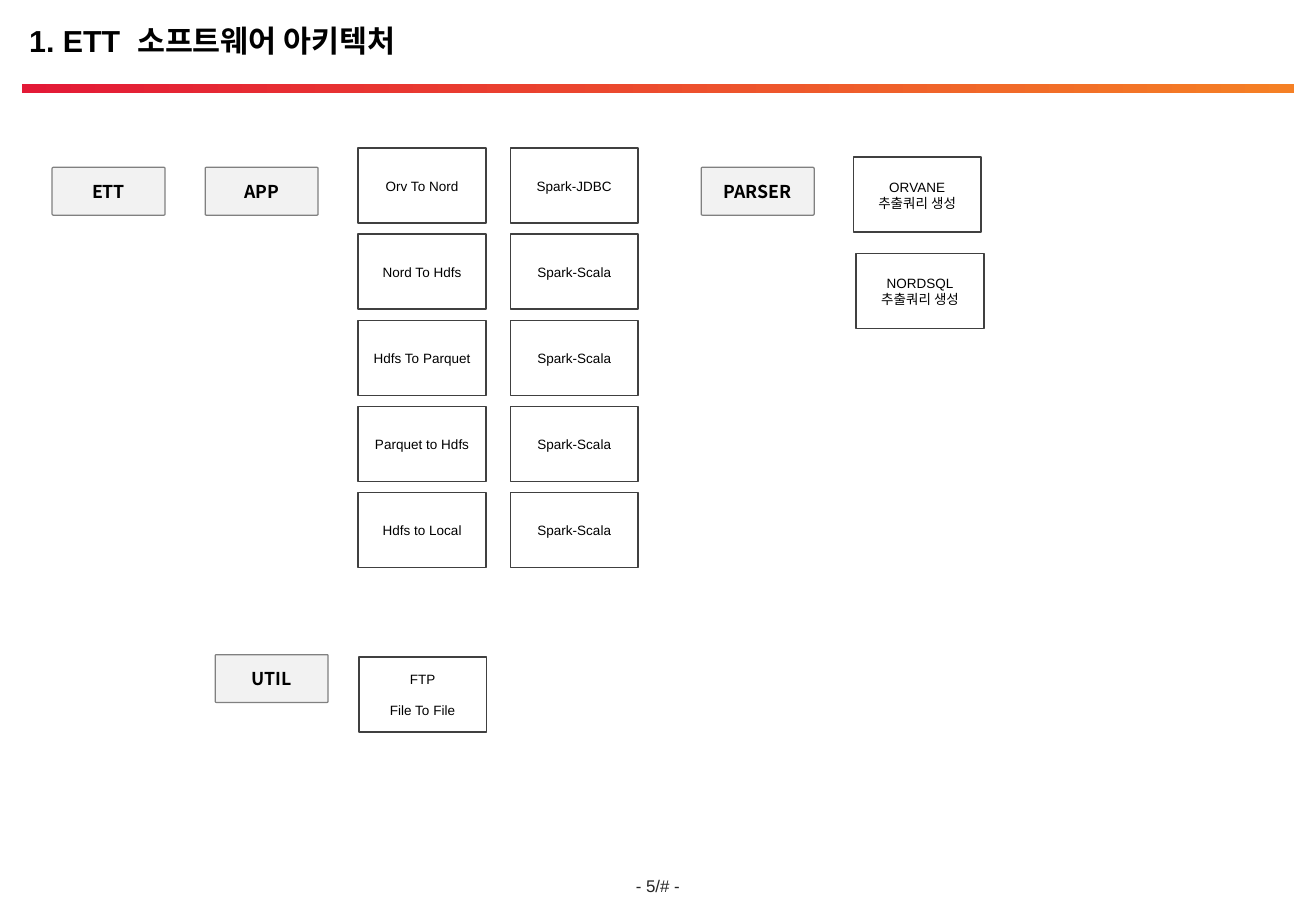
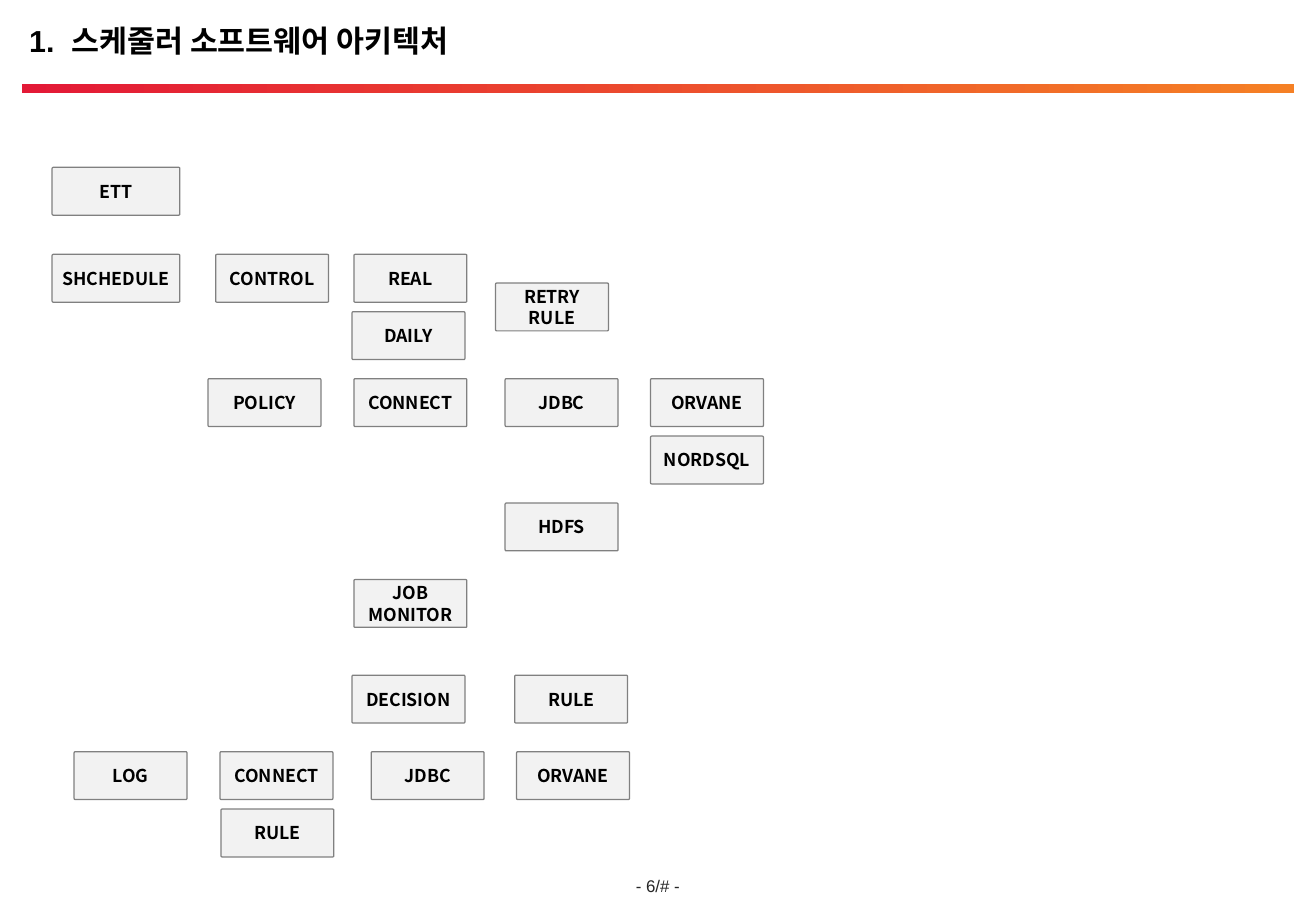
from pptx import Presentation
from pptx import util as u
from pptx.dml.color import RGBColor
from pptx.enum import shapes, text

COLORS = {
    "black": "000000",
    "white": "FFFFFF",
    "footer": "262626",
    "box_line": "404040",
    "label_fill": "F2F2F2",
    "label_line": "808080",
    "band_start": "E31936",
    "band_end": "F58025",
}
BODY_FONT = "Arial"
LABEL_FONT = "Noto Sans CJK KR"
SLIDE_W, SLIDE_H = 27.51, 19.05
BOX_W, BOX_H = 2.67, 1.57
LABEL_W, LABEL_H = 2.36, 1
WIDE_LABEL_W = 2.67

JOBS = [
    ("Orv To Nord", "Spark-JDBC"),
    ("Nord To Hdfs", "Spark-Scala"),
    ("Hdfs To Parquet", "Spark-Scala"),
    ("Parquet to Hdfs", "Spark-Scala"),
    ("Hdfs to Local", "Spark-Scala"),
]
JOB_LEFTS = (7.49, 10.67)
JOB_TOP, JOB_PITCH = 3.1, 1.8

ETT_LABELS = [
    ("ETT", 1.09, 3.5),
    ("APP", 4.29, 3.5),
    ("UTIL", 4.5, 13.69),
    ("PARSER", 14.66, 3.5),
]
PARSER_BOXES = [
    ("ORVANE\n추출쿼리 생성", 17.84, 3.29),
    ("NORDSQL\n추출쿼리 생성", 17.9, 5.3),
]

# Each row: top edge, then (text, left edge) pairs
SCHEDULER_ROWS = [
    (5.32, [("CONTROL", 4.51), ("REAL", 7.4)]),
    (5.92, [("RETRY\nRULE", 10.36)]),
    (6.52, [("DAILY", 7.36)]),
    (7.92, [("POLICY", 4.35), ("CONNECT", 7.4), ("JDBC", 10.56), ("ORVANE", 13.6)]),
    (9.12, [("NORDSQL", 13.6)]),
    (10.52, [("HDFS", 10.56)]),
    (12.12, [("JOB\nMONITOR", 7.4)]),
    (14.12, [("DECISION", 7.36), ("RULE", 10.76)]),
    (15.72, [("LOG", 1.55), ("CONNECT", 4.6), ("JDBC", 7.76), ("ORVANE", 10.8)]),
    (16.92, [("RULE", 4.62)]),
]


def rgb(name):
    return RGBColor.from_string(COLORS[name])


def style_run(r, size, color="black", font=BODY_FONT, bold=False):
    r.font.size = u.Pt(size)
    r.font.name = font
    r.font.bold = bold
    r.font.color.rgb = rgb(color)


def set_text(sp, content, margins, **style):
    """Centre the text in the shape; margins are horizontal and vertical, in cm."""
    tf = sp.text_frame
    tf.text = content
    tf.word_wrap = True
    tf.vertical_anchor = text.MSO_ANCHOR.MIDDLE
    tf.margin_left = tf.margin_right = u.Cm(margins[0])
    tf.margin_top = tf.margin_bottom = u.Cm(margins[1])
    for p in tf.paragraphs:
        p.alignment = text.PP_ALIGN.CENTER
        for r in p.runs:
            style_run(r, **style)


def add_block(s, kind, left, top, width, height):
    sp = s.shapes.add_shape(kind, u.Cm(left), u.Cm(top), u.Cm(width), u.Cm(height))
    sp.shadow.inherit = False
    return sp


def outline(sp, fill, line, weight):
    sp.fill.solid()
    sp.fill.fore_color.rgb = rgb(fill)
    sp.line.color.rgb = rgb(line)
    sp.line.width = u.Pt(weight)


def add_box(s, content, left, top):
    sp = add_block(s, shapes.MSO_SHAPE.RECTANGLE, left, top, BOX_W, BOX_H)
    outline(sp, "white", "box_line", 1)
    set_text(sp, content, (0, 0.13), size=8)
    return sp


def add_label(s, content, left, top, width=LABEL_W):
    sp = add_block(s, shapes.MSO_SHAPE.ROUNDED_RECTANGLE, left, top, width, LABEL_H)
    sp.adjustments[0] = 0.025
    outline(sp, "label_fill", "label_line", 0.75)
    set_text(sp, content, (0.1, 0.1), size=10.5, font=LABEL_FONT, bold=True)
    for p in sp.text_frame.paragraphs:
        p.line_spacing = u.Pt(12.5)


def add_title(s, prefix, subject):
    sp = s.shapes.add_textbox(u.Cm(0.36), u.Cm(0.33), u.Cm(26.75), u.Cm(1.17))
    sp.text_frame.word_wrap = True
    p = sp.text_frame.paragraphs[0]
    for part in (prefix, " ", subject):
        r = p.add_run()
        r.text = part
        style_run(r, 18, bold=True)
        if part == " ":
            r._r.get_or_add_rPr().set("spc", "500")  # wider gap before the subject


def add_band(s):
    sp = add_block(s, shapes.MSO_SHAPE.RECTANGLE, 0.46, 1.75, 26.59, 0.2)
    sp.line.fill.background()
    sp.fill.gradient()
    sp.fill.gradient_angle = 0
    for stop, color in zip(sp.fill.gradient_stops, ("band_start", "band_end")):
        stop.color.rgb = rgb(color)


def add_footer(s, number):
    sp = s.shapes.add_textbox(u.Cm(12.95), u.Cm(18.31), u.Cm(1.6), u.Cm(0.41))
    set_text(sp, f"- {number}/# -", (0, 0), size=10, color="footer")
    sp.text_frame.word_wrap = False


def new_slide(prs, number, prefix, subject):
    s = prs.slides.add_slide(prs.slide_layouts[6])
    add_footer(s, number)
    add_band(s)
    add_title(s, prefix, subject)
    return s


def build_ett(prs):
    s = new_slide(prs, 5, "1. ETT", "소프트웨어 아키텍처")
    for row, job in enumerate(JOBS):
        for content, left in zip(job, JOB_LEFTS):
            add_box(s, content, left, JOB_TOP + row * JOB_PITCH)
    for label in ETT_LABELS:
        add_label(s, *label)
    for box in PARSER_BOXES:
        add_box(s, *box)
    transfer = add_box(s, "FTP\nFile To File", 7.5, 13.74)
    transfer.text_frame.paragraphs[1].space_before = u.Pt(9.2)


def build_scheduler(prs):
    s = new_slide(prs, 6, "1.", "스케줄러 소프트웨어 아키텍처")
    for content, top in (("ETT", 3.5), ("SHCHEDULE", 5.32)):
        add_label(s, content, 1.09, top, WIDE_LABEL_W)
    for top, labels in SCHEDULER_ROWS:
        for content, left in labels:
            add_label(s, content, left, top)


def main():
    prs = Presentation()
    prs.slide_width, prs.slide_height = u.Cm(SLIDE_W), u.Cm(SLIDE_H)
    build_ett(prs)
    build_scheduler(prs)
    prs.save("out.pptx")


if __name__ == "__main__":
    main()
